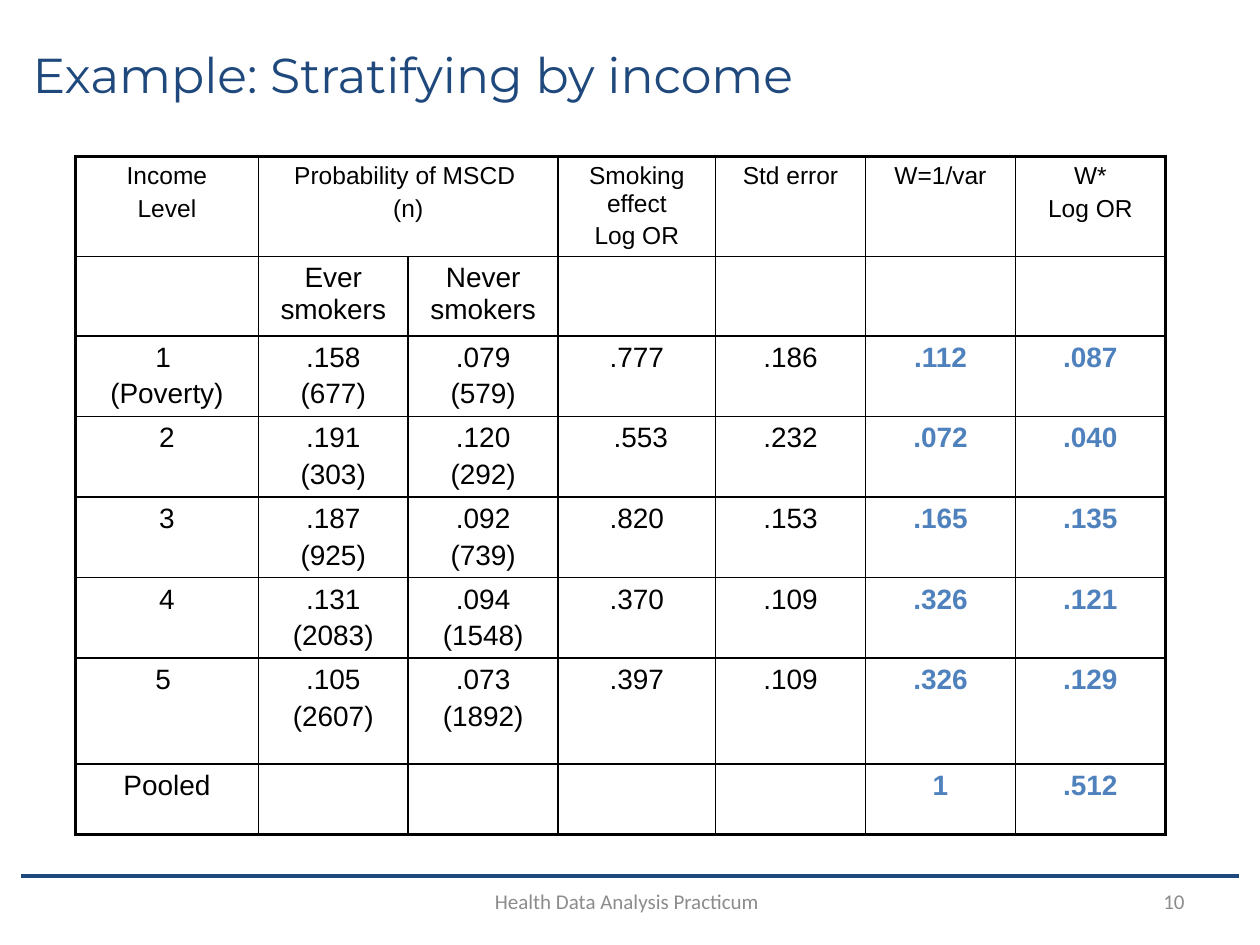
from lxml.etree import SubElement as Sub, Element as Elem
from pptx import Presentation as Deck
from pptx.dml.color import RGBColor as RGB
from pptx.enum.shapes import MSO_CONNECTOR as Conn
from pptx.enum.text import MSO_ANCHOR as Anchor, PP_ALIGN as Align
from pptx.oxml.ns import qn
from pptx.util import Inches, Pt

NAVY = RGB(0x1F, 0x49, 0x7D)
BLUE = RGB(0x4F, 0x81, 0xBD)
GRAY = RGB(0x8C, 0x8C, 0x8C)
BLACK = RGB(0, 0, 0)

TITLE = {"name": "Montserrat", "size": Pt(28), "bold": False, "color": NAVY}
FOOT = {"name": "Calibri", "size": Pt(12), "bold": False, "color": GRAY}
BODY = {"name": "Arial", "size": Pt(16), "bold": False, "color": BLACK}
HEAD = {**BODY, "size": Pt(14)}
WEIGHT = {**BODY, "bold": True, "color": BLUE}

THIN, THICK = Pt(1), Pt(2.25)
COLS = [1.45, 1.19, 1.19, 1.25, 1.19, 1.19, 1.19]
ROWS = [0.79, 0.63, 0.64, 0.64, 0.64, 0.64, 0.84, 0.56]
CELLS = [
    ["Income\nLevel", "Probability of MSCD \n(n)", "", "Smoking effect\nLog OR",
     "Std error", "W=1/var", "W*\nLog OR"],
    ["", "Ever smokers", "Never smokers", "", "", "", ""],
    ["1 \n(Poverty)", ".158\n(677)", ".079\n(579)", ".777", ".186", ".112", ".087"],
    ["2", ".191\n(303)", ".120\n(292)", " .553", ".232", ".072", ".040"],
    ["3", ".187\n(925)", ".092\n(739)", ".820", ".153", ".165", ".135"],
    ["4", ".131\n(2083)", ".094\n(1548)", ".370", ".109", ".326", ".121"],
    ["5 ", ".105\n(2607)", ".073\n(1892)", ".397", ".109", ".326", ".129"],
    ["Pooled", "", "", "", "", "1", ".512"],
]


def style(font, look):
    for key, val in look.items():
        if key == "color":
            font.color.rgb = val
        else:
            setattr(font, key, val)


def write(frame, text, look, align):
    frame.text = text
    for para in frame.paragraphs:
        para.alignment = align
        for run in para.runs:
            style(run.font, look)


def place(shape, box):
    for key, val in zip(("left", "top", "width", "height"), box):
        setattr(shape, key, Inches(val))


def add_title(slide, box):
    title = slide.shapes.title
    place(title, box)
    title.text_frame.vertical_anchor = Anchor.MIDDLE
    write(title.text_frame, "Example: Stratifying by income", TITLE, Align.LEFT)


def add_note(slide, box, text, align):
    frame = slide.shapes.add_textbox(*map(Inches, box)).text_frame
    frame.word_wrap = True
    frame.vertical_anchor = Anchor.MIDDLE
    write(frame, text, FOOT, align)


def add_foot(slide, box):
    left, top, wide, high = box
    rule = slide.shapes.add_connector(
        Conn.STRAIGHT, *map(Inches, (left, top, left + wide, top)))
    rule.line.color.rgb = NAVY
    rule.line.width = Pt(2.5)
    Sub(rule._element.spPr, qn("a:effectLst"))
    add_note(slide, (left + 2.66, top, 4.33, high),
             "Health Data Analysis Practicum ", Align.CENTER)
    add_note(slide, (left + 7, top, 2.33, high), "10", Align.RIGHT)


def edge(cell, sides):
    props = cell._tc.get_or_add_tcPr()
    for spot, (side, width) in enumerate(sides.items()):
        line = Elem(qn(f"a:ln{side}"), w=str(int(width)))
        fill = Sub(line, qn("a:solidFill"))
        Sub(fill, qn("a:srgbClr"), val=str(BLACK))
        props.insert(spot, line)


def space(para, share):
    gap = Sub(para._p.get_or_add_pPr(), qn("a:spcBef"))
    Sub(gap, qn("a:spcPct"), val=str(share * 1000))


def add_grid(slide, box):
    rows, cols = len(ROWS), len(COLS)
    grid = slide.shapes.add_table(rows, cols, *map(Inches, box)).table
    grid.first_row = grid.horz_banding = False
    for col, wide in zip(grid.columns, COLS):
        col.width = Inches(wide)
    for row, high in zip(grid.rows, ROWS):
        row.height = Inches(high)
    grid.cell(0, 1).merge(grid.cell(0, 2))
    for r, texts in enumerate(CELLS):
        for c, text in enumerate(texts):
            cell = grid.cell(r, c)
            cell.fill.background()
            edge(cell, {"L": THIN if c else THICK,
                        "R": THICK if c == cols - 1 else THIN,
                        "T": THIN if r else THICK,
                        "B": THICK if r == rows - 1 else THIN})
            if text:
                look = HEAD if r == 0 else WEIGHT if c > 4 else BODY
                write(cell.text_frame, text, look, Align.CENTER)
                for para in cell.text_frame.paragraphs:
                    space(para, 20)


def main():
    deck = Deck()
    deck.slide_width, deck.slide_height = Inches(10), Inches(7.5)
    slide = deck.slides.add_slide(deck.slide_layouts[5])
    add_title(slide, (0.16, 0.14, 9.62, 0.9))
    add_grid(slide, (0.6, 1.24, sum(COLS), sum(ROWS)))
    add_foot(slide, (0.17, 6.95, 9.66, 0.4))
    deck.save("out.pptx")


if __name__ == "__main__":
    main()
